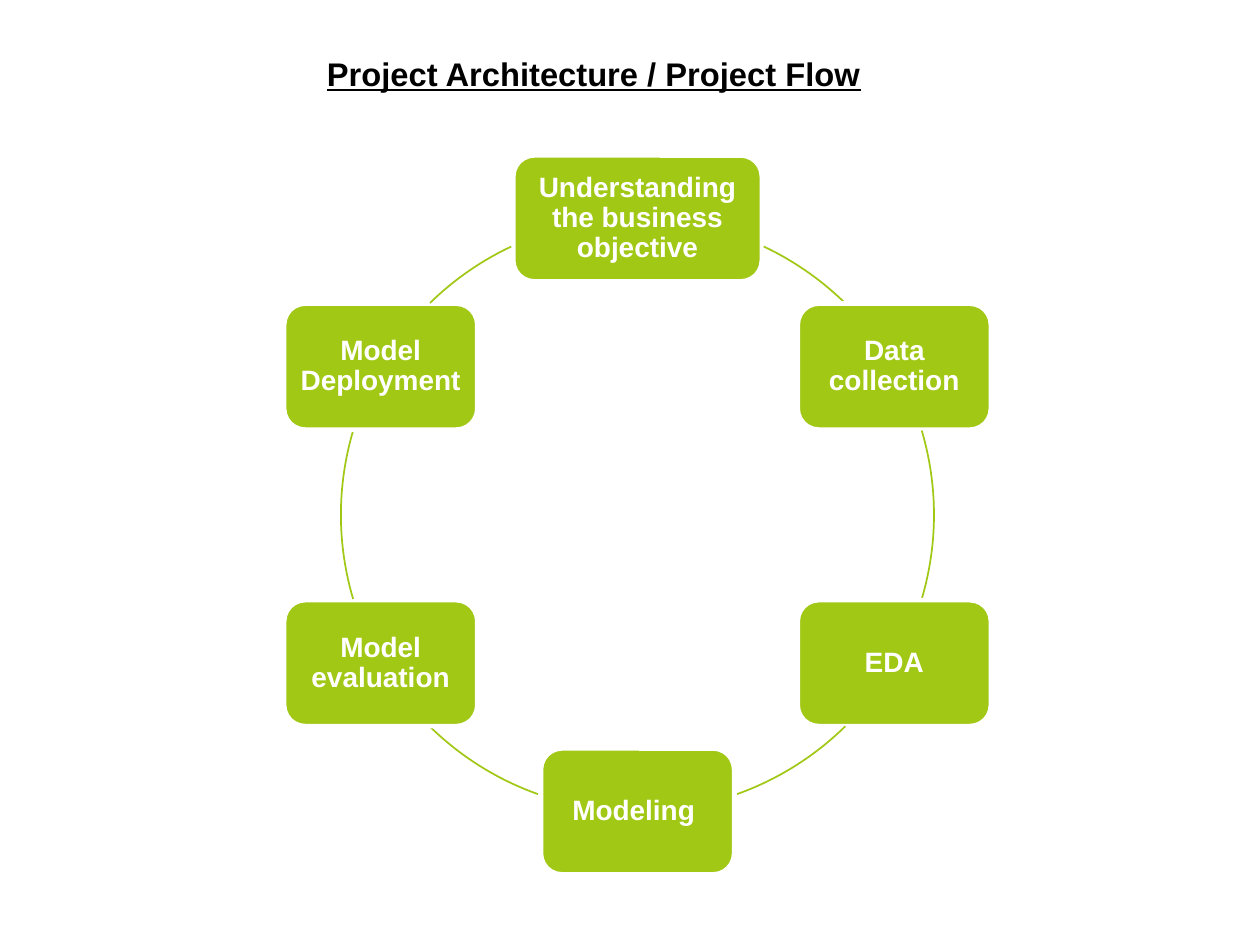
"""Build the project flow slide: a title above a cycle of six steps."""
import math

from pptx import Presentation
from pptx.dml.color import RGBColor
from pptx.enum import shapes, text
from pptx.util import Inches, Pt

GREEN = RGBColor(0xA2, 0xC8, 0x16)
WHITE = RGBColor(0xFF, 0xFF, 0xFF)
BLACK = RGBColor(0x00, 0x00, 0x00)

BOX_W, BOX_H = 1.15, 0.75
STEPS = [
    ("Understanding the business objective", 1.48),
    ("Data collection", BOX_W),
    ("EDA", BOX_W),
    ("Modeling ", BOX_W),
    ("Model evaluation", BOX_W),
    ("Model Deployment", BOX_W),
]
ARCS = [(295.2, 314.4), (343.5, 16.5), (45.5, 70.4),
        (109.6, 134.2), (163.5, 196.5), (225.6, 244.8)]


def set_text(tf, words, size, color, inset_x, inset_y):
    """Write one centred bold paragraph and return it."""
    tf.word_wrap = True
    tf.margin_left = tf.margin_right = Inches(inset_x)
    tf.margin_top = tf.margin_bottom = Inches(inset_y)
    p = tf.paragraphs[0]
    p.text = words
    p.alignment = text.PP_ALIGN.CENTER
    p.font.name, p.font.size, p.font.bold = "Arial", Pt(size), True
    p.font.color.rgb = color
    return p


def add_title(s, x, y, w, h):
    """Place the underlined heading in the given box."""
    sp = s.shapes.add_textbox(Inches(x), Inches(y), Inches(w), Inches(h))
    p = set_text(sp.text_frame, "Project Architecture / Project Flow",
                 14, BLACK, 0.02, 0.01)
    p.font.underline = True


def add_step(s, cx, cy, w, h, words):
    """Place a rounded step box centred on a point."""
    sp = s.shapes.add_shape(shapes.MSO_SHAPE.ROUNDED_RECTANGLE,
                            Inches(cx - w / 2), Inches(cy - h / 2),
                            Inches(w), Inches(h))
    sp.shadow.inherit = False
    sp.fill.solid()
    sp.fill.fore_color.rgb = GREEN
    sp.line.color.rgb = WHITE
    sp.line.width = Pt(2)
    sp.text_frame.vertical_anchor = text.MSO_ANCHOR.MIDDLE
    p = set_text(sp.text_frame, words, 12, WHITE, 0.05, 0.05)
    p.line_spacing = 0.9


def add_arc(s, x, y, size, start, end):
    """Draw a clockwise arc, in degrees from east, of the circle in a square."""
    sp = s.shapes.add_shape(shapes.MSO_SHAPE.ARC, Inches(x), Inches(y),
                            Inches(size), Inches(size))
    sp.adjustments[0] = start * 0.6
    sp.adjustments[1] = end * 0.6
    sp.shadow.inherit = False
    sp.fill.background()
    sp.line.color.rgb = GREEN
    sp.line.width = Pt(0.75)


def add_cycle(s, x, y, size):
    """Place the steps evenly round the circle in a square, with arcs between."""
    radius = size / 2
    for i, ((words, w), (start, end)) in enumerate(zip(STEPS, ARCS)):
        angle = math.radians(60 * i - 90)
        add_step(s, x + radius * (1 + math.cos(angle)),
                 y + radius * (1 + math.sin(angle)), w, BOX_H, words)
        add_arc(s, x, y, size, start, end)


def main():
    """Build and save the slide."""
    prs = Presentation()
    prs.slide_width, prs.slide_height = Inches(7.5), Inches(7.5 * 3 / 4)
    s = prs.slides.add_slide(prs.slide_layouts[6])
    add_title(s, 0.9, 0.31, 5.27, 0.26)
    add_cycle(s, 2.03, 1.3, 3.53)
    prs.save("out.pptx")


if __name__ == "__main__":
    main()
